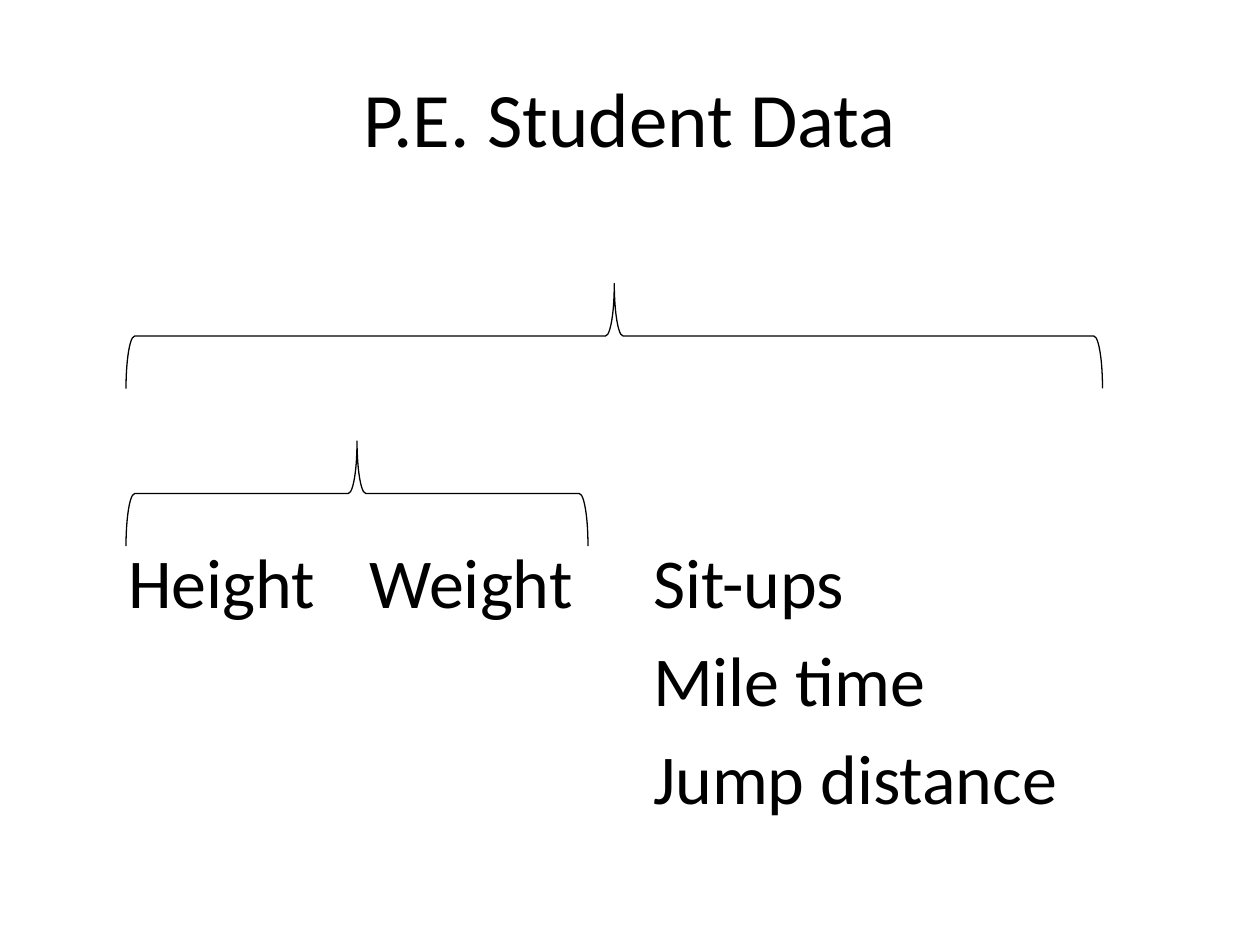
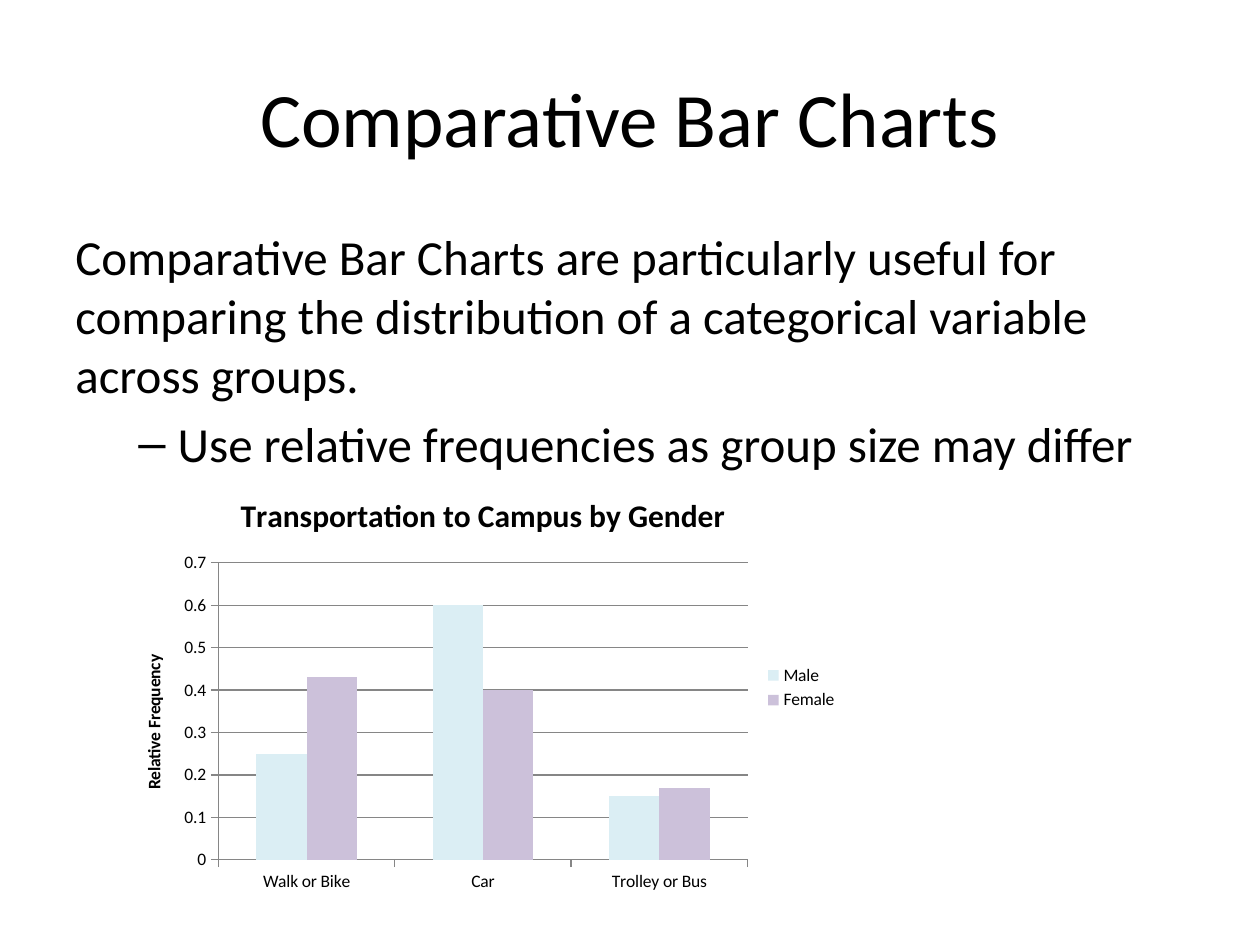
from dataclasses import dataclass

from lxml.etree import SubElement
from pptx import Presentation
from pptx.chart.data import CategoryChartData
from pptx.dml.color import RGBColor
from pptx.enum.chart import XL_CHART_TYPE, XL_LEGEND_POSITION, XL_TICK_MARK
from pptx.enum.shapes import MSO_SHAPE
from pptx.enum.text import MSO_ANCHOR, PP_ALIGN
from pptx.oxml import parse_xml
from pptx.oxml.ns import nsdecls, qn
from pptx.util import Pt


@dataclass(frozen=True)
class Theme:
    font: str = "Calibri"
    ink: RGBColor = RGBColor(0, 0, 0)
    paper: RGBColor = RGBColor(255, 255, 255)
    grid: RGBColor = RGBColor(0x86, 0x86, 0x86)
    title: float = 44
    cell: float = 40
    body: float = 28
    head: float = 18
    label: float = 10
    line: float = 0.75


@dataclass(frozen=True)
class Box:
    """A frame in points."""
    left: float
    top: float
    width: float
    height: float

    def frame(self) -> tuple:
        return Pt(self.left), Pt(self.top), Pt(self.width), Pt(self.height)

    def turned(self) -> "Box":
        """The frame that covers this one after a quarter turn."""
        shift = (self.width - self.height) / 2
        return Box(self.left + shift, self.top - shift, self.height, self.width)


@dataclass(frozen=True)
class Group:
    name: str
    values: tuple
    color: RGBColor


THEME = Theme()
TITLE = Box(36, 21.6, 648, 90)
BRACES = (Box(72, 162, 558, 60), Box(72, 252, 264, 60))
TABLE = Box(66, 306, 612, 168)
COLUMNS = (138, 162, 312)
ROWS = (
    ("Height", "Weight", "Sit-ups"),
    ("", "", "Mile time"),
    ("", "", "Jump distance"),
)
BODY = Box(36, 126, 648, 356)
CHART = Box(66, 270, 420, 246)
PLOT = {"x": 0.14, "y": 0.21, "w": 0.72, "h": 0.69}
TRAVEL = ("Walk or Bike", "Car", "Trolley or Bus")
GROUPS = (
    Group("Male", (0.25, 0.6, 0.15), RGBColor(0xDB, 0xEE, 0xF4)),
    Group("Female", (0.43, 0.4, 0.17), RGBColor(0xCC, 0xC1, 0xDA)),
)


def style(font, size: float, bold: bool = False) -> None:
    font.name = THEME.font
    font.size = Pt(size)
    font.bold = bold
    font.color.rgb = THEME.ink


def write(para, text: str, size: float, bold: bool = False) -> None:
    run = para.add_run()
    run.text = text
    style(run.font, size, bold)


def start(deck, title: str):
    """Add a slide with its title."""
    slide = deck.slides.add_slide(deck.slide_layouts[5])
    shape = slide.shapes.title
    shape.left, shape.top, shape.width, shape.height = TITLE.frame()
    shape.text_frame.vertical_anchor = MSO_ANCHOR.MIDDLE
    para = shape.text_frame.paragraphs[0]
    para.alignment = PP_ALIGN.CENTER
    write(para, title, THEME.title)
    return slide


def add_brace(slide, box: Box) -> None:
    brace = slide.shapes.add_shape(MSO_SHAPE.LEFT_BRACE, *box.turned().frame())
    brace.rotation = 90
    brace.shadow.inherit = False
    brace.fill.background()
    brace.line.color.rgb = THEME.ink
    brace.line.width = Pt(THEME.line)


def add_grid(slide) -> None:
    """Add the table of student data."""
    table = slide.shapes.add_table(len(ROWS), len(COLUMNS), *TABLE.frame()).table
    table.first_row = table.horz_banding = False
    for column, width in zip(table.columns, COLUMNS):
        column.width = Pt(width)
    for row, texts in zip(table.rows, ROWS):
        for cell, text in zip(row.cells, texts):
            cell.fill.solid()
            cell.fill.fore_color.rgb = THEME.paper
            if text:
                write(cell.text_frame.paragraphs[0], text, THEME.cell)


def add_body(slide) -> None:
    frame = slide.shapes.add_textbox(*BODY.frame()).text_frame
    frame.word_wrap = True
    write(frame.paragraphs[0],
          "Comparative Bar Charts are particularly useful for comparing "
          "the distribution of a categorical variable across groups.", THEME.body)
    point = frame.add_paragraph()
    point.level = 1
    point.space_before = Pt(THEME.body * 0.2)
    write(point, "Use relative frequencies as group size may differ", THEME.body)
    props = point._p.get_or_add_pPr()
    props.set("marL", str(Pt(58.5)))
    props.set("indent", str(Pt(-22.5)))
    SubElement(props, qn("a:buFont")).set("typeface", "Arial")
    SubElement(props, qn("a:buChar")).set("char", "–")


def set_plot(chart) -> None:
    """Fix the inner plot area as shares of the chart."""
    area = chart._chartSpace.chart.plotArea
    for old in area.findall(qn("c:layout")):
        area.remove(old)
    modes = "".join(f'<c:{key}Mode val="edge"/>' for key in "xy")
    sizes = "".join(f'<c:{key} val="{share}"/>' for key, share in PLOT.items())
    area.insert(0, parse_xml(
        f'<c:layout {nsdecls("c")}><c:manualLayout><c:layoutTarget val="inner"/>'
        f'{modes}{sizes}</c:manualLayout></c:layout>'))


def add_bars(slide) -> None:
    """Add the chart of travel by gender."""
    data = CategoryChartData()
    data.categories = TRAVEL
    for group in GROUPS:
        data.add_series(group.name, group.values)
    chart = slide.shapes.add_chart(
        XL_CHART_TYPE.COLUMN_CLUSTERED, *CHART.frame(), data).chart
    style(chart.font, THEME.label)

    chart.has_title = True
    write(chart.chart_title.text_frame.paragraphs[0],
          "Transportation to Campus by Gender", THEME.head, True)
    chart.chart_title.include_in_layout = False
    chart.has_legend = True
    chart.legend.position = XL_LEGEND_POSITION.RIGHT
    chart.legend.include_in_layout = False

    scale = chart.value_axis
    scale.minimum_scale, scale.maximum_scale, scale.major_unit = 0, 0.7, 0.1
    scale.has_major_gridlines = True
    write(scale.axis_title.text_frame.paragraphs[0],
          "Relative Frequency", THEME.label, True)
    for axis in (chart.category_axis, scale):
        axis.major_tick_mark = XL_TICK_MARK.OUTSIDE
    for part in (chart.category_axis, scale, scale.major_gridlines):
        part.format.line.color.rgb = THEME.grid
        part.format.line.width = Pt(THEME.line)

    plot = chart.plots[0]
    plot.vary_by_categories = False
    plot.gap_width = 150
    plot.overlap = 0
    for bars, group in zip(plot.series, GROUPS):
        bars.format.fill.solid()
        bars.format.fill.fore_color.rgb = group.color
    set_plot(chart)


def main() -> None:
    deck = Presentation()
    deck.slide_width, deck.slide_height = Pt(720), Pt(540)

    data = start(deck, "P.E. Student Data")
    add_grid(data)
    for box in BRACES:
        add_brace(data, box)

    compare = start(deck, "Comparative Bar Charts")
    add_body(compare)
    add_bars(compare)

    deck.save("out.pptx")


if __name__ == "__main__":
    main()
